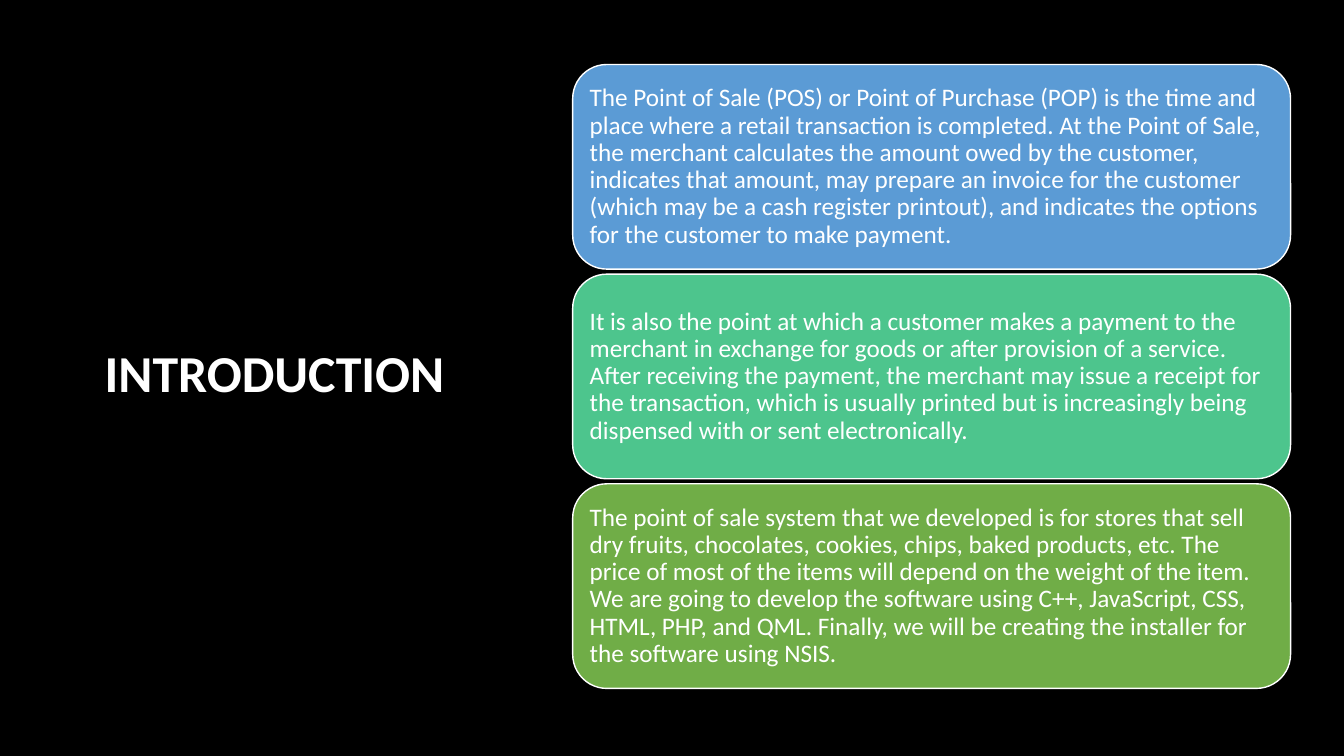
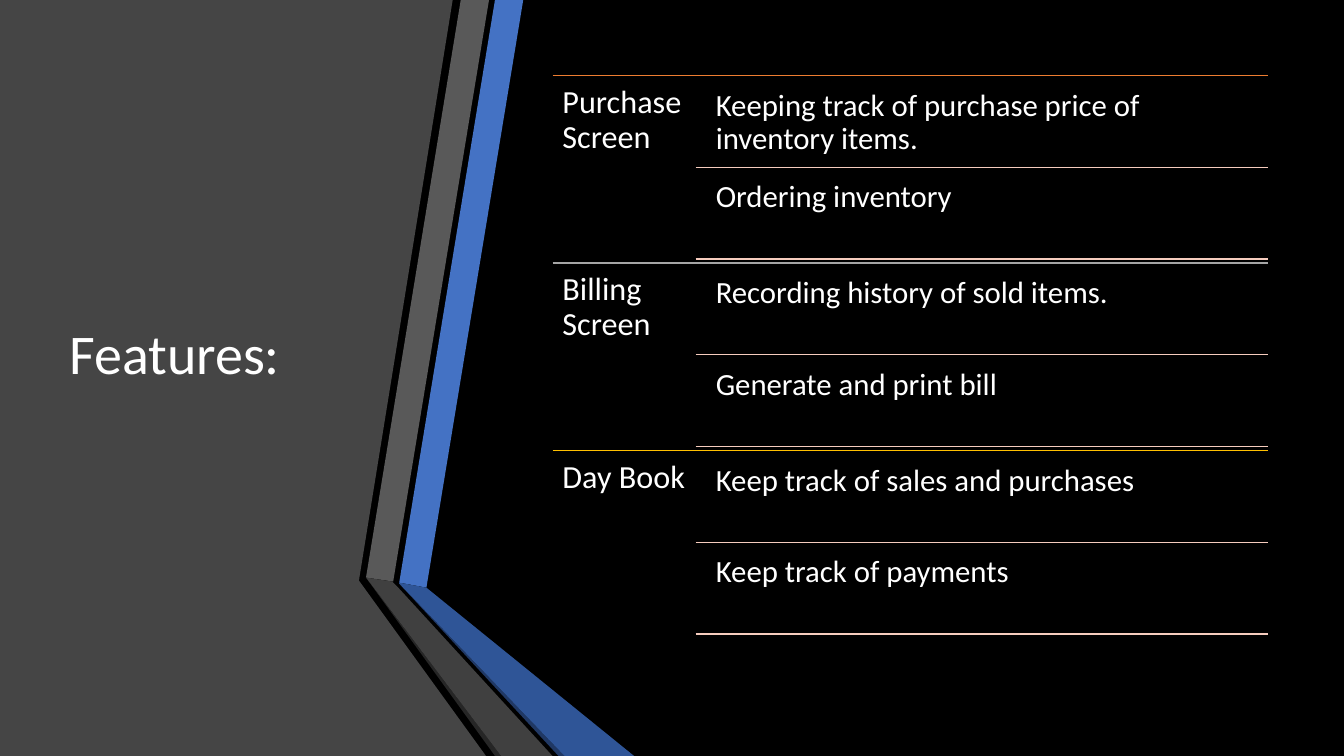
from pptx import Presentation
from pptx.dml.color import RGBColor
from pptx.enum.shapes import MSO_CONNECTOR, MSO_SHAPE
from pptx.enum.text import MSO_ANCHOR, PP_ALIGN
from pptx.oxml.ns import qn
from pptx.util import Inches, Pt
from lxml import etree

ROUNDED = MSO_SHAPE.ROUNDED_RECTANGLE
STRAIGHT = MSO_CONNECTOR.STRAIGHT
TOP, MIDDLE = MSO_ANCHOR.TOP, MSO_ANCHOR.MIDDLE
LEFT = PP_ALIGN.LEFT

FONT = "Calibri"
BLACK, WHITE = "000000", "FFFFFF"
DETAIL_LINE = "F6CCBE"

# Introduction cards: fill colour and text
CARDS = [
    ("5B9BD5", "The Point of Sale (POS) or Point of Purchase (POP) is the time and place "
     "where a retail transaction is completed. At the Point of Sale, the merchant calculates "
     "the amount owed by the customer, indicates that amount, may prepare an invoice for the "
     "customer (which may be a cash register printout), and indicates the options for the "
     "customer to make payment."),
    ("4DC58D", "It is also the point at which a customer makes a payment to the merchant in "
     "exchange for goods or after provision of a service. After receiving the payment, the "
     "merchant may issue a receipt for the transaction, which is usually printed but is "
     "increasingly being dispensed with or sent electronically."),
    ("70AD47", "The point of sale system that we developed is for stores that sell dry fruits, "
     "chocolates, cookies, chips, baked products, etc. The price of most of the items will "
     "depend on the weight of the item. We are going to develop the software using C++, "
     "JavaScript, CSS, HTML, PHP, and QML. Finally, we will be creating the installer for the "
     "software using NSIS."),
]

# Features: line colour, heading and details
FEATURES = [
    ("ED7D31", "Purchase Screen",
     ["Keeping track of purchase price of inventory items.", "Ordering inventory"]),
    ("A5A5A5", "Billing Screen",
     ["Recording history of sold items.", "Generate and print bill"]),
    ("FFC000", "Day Book",
     ["Keep track of sales and purchases", "Keep track of payments"]),
]

# Side panel and folded ribbons: fill colour and corner points
PANEL = [
    ("454545", [(0, 0), (4.49, 0), (3.56, 5.76), (4.82, 7.5), (0, 7.5)]),
    ("4472C4", [(3.96, 5.78), (4.23, 5.83), (5.19, 0), (4.91, 0)]),
    ("595959", [(4.85, 0), (4.57, 0), (3.63, 5.73), (3.9, 5.77)]),
    ("262626", [(3.63, 5.73), (4.91, 7.5), (4.97, 7.5)]),
    ("203864", [(3.96, 5.79), (5.54, 7.5), (5.6, 7.5)]),
    ("2F5597", [(3.96, 5.79), (5.6, 7.5), (6.29, 7.5), (4.23, 5.83), (3.96, 5.78)]),
    ("404040", [(5.48, 7.5), (3.95, 5.83), (3.89, 5.77), (3.63, 5.73), (4.97, 7.5)]),
]


def color(value):
    return RGBColor.from_string(value)


def paint(shape, fill, line=None):
    shape.shadow.inherit = False
    shape.fill.solid()
    shape.fill.fore_color.rgb = color(fill)
    if line:
        shape.line.color.rgb = color(line)
        shape.line.width = Pt(1)
    else:
        shape.line.fill.background()


def write(shape, text, size, anchor, margin, bold=False):
    frame = shape.text_frame
    frame.word_wrap = True
    frame.vertical_anchor = anchor
    frame.margin_left = frame.margin_right = Inches(margin[0])
    frame.margin_top = frame.margin_bottom = Inches(margin[1])
    paragraph = frame.paragraphs[0]
    paragraph.alignment = LEFT
    paragraph.line_spacing = 0.9
    run = paragraph.add_run()
    run.text = text
    run.font.name = FONT
    run.font.size = Pt(size)
    run.font.bold = bold
    run.font.color.rgb = color(WHITE)


def add_text(slide, box, text, size, margin, anchor=TOP, bold=False):
    shape = slide.shapes.add_textbox(*map(Inches, box))
    write(shape, text, size, anchor, margin, bold)


def add_title(slide, box, text, size, bold=False):
    add_text(slide, box, text, size, (0.1, 0.05), MIDDLE, bold)


def add_card(slide, box, text, fill):
    card = slide.shapes.add_shape(ROUNDED, *map(Inches, box))
    paint(card, fill, WHITE)
    write(card, text, 18, MIDDLE, (0.07, 0.07))


def add_rule(slide, left, right, top, line):
    rule = slide.shapes.add_connector(
        STRAIGHT, Inches(left), Inches(top), Inches(right), Inches(top))
    rule.line.color.rgb = color(line)
    rule.line.width = Pt(1)
    properties = rule._element.find(qn("p:spPr"))
    etree.SubElement(properties, qn("a:effectLst"))


def add_polygon(slide, points, fill):
    corners = [(Inches(x), Inches(y)) for x, y in points]
    builder = slide.shapes.build_freeform(*corners[0])
    builder.add_line_segments(corners[1:], close=True)
    paint(builder.convert_to_shape(), fill)


def add_slide(presentation):
    slide = presentation.slides.add_slide(presentation.slide_layouts[6])
    slide.background.fill.solid()
    slide.background.fill.fore_color.rgb = color(BLACK)
    return slide


def build_introduction(presentation):
    slide = add_slide(presentation)
    add_title(slide, (0.94, 1.11, 3.74, 5.24), "INTRODUCTION", 37, bold=True)
    for index, (fill, text) in enumerate(CARDS):
        add_card(slide, (5.68, 0.64 + 2.08 * index, 7.12, 2.03), text, fill)


def build_features(presentation):
    slide = add_slide(presentation)
    for fill, points in PANEL:
        add_polygon(slide, points, fill)
    add_title(slide, (0.59, 0.75, 3.04, 5.58), "Features:", 40)

    left, detail_left, right = 5.48, 6.9, 12.58
    group_height, row_height = 1.86, 0.91
    for index, (line, heading, details) in enumerate(FEATURES):
        top = 0.75 + group_height * index
        add_rule(slide, left, right, top, line)
        add_text(slide, (left, top, detail_left - left, group_height),
                 heading, 23, (0.1, 0.1))
        for row, detail in enumerate(details):
            row_top = top + row_height * row
            add_text(slide, (7.01, row_top + 0.05, 5.57, 0.86), detail, 22, (0.09, 0.09))
            add_rule(slide, detail_left, right, row_top + row_height, DETAIL_LINE)


def main():
    presentation = Presentation()
    presentation.slide_width = Inches(13.33)
    presentation.slide_height = Inches(7.5)
    build_introduction(presentation)
    build_features(presentation)
    presentation.save("out.pptx")


if __name__ == "__main__":
    main()
